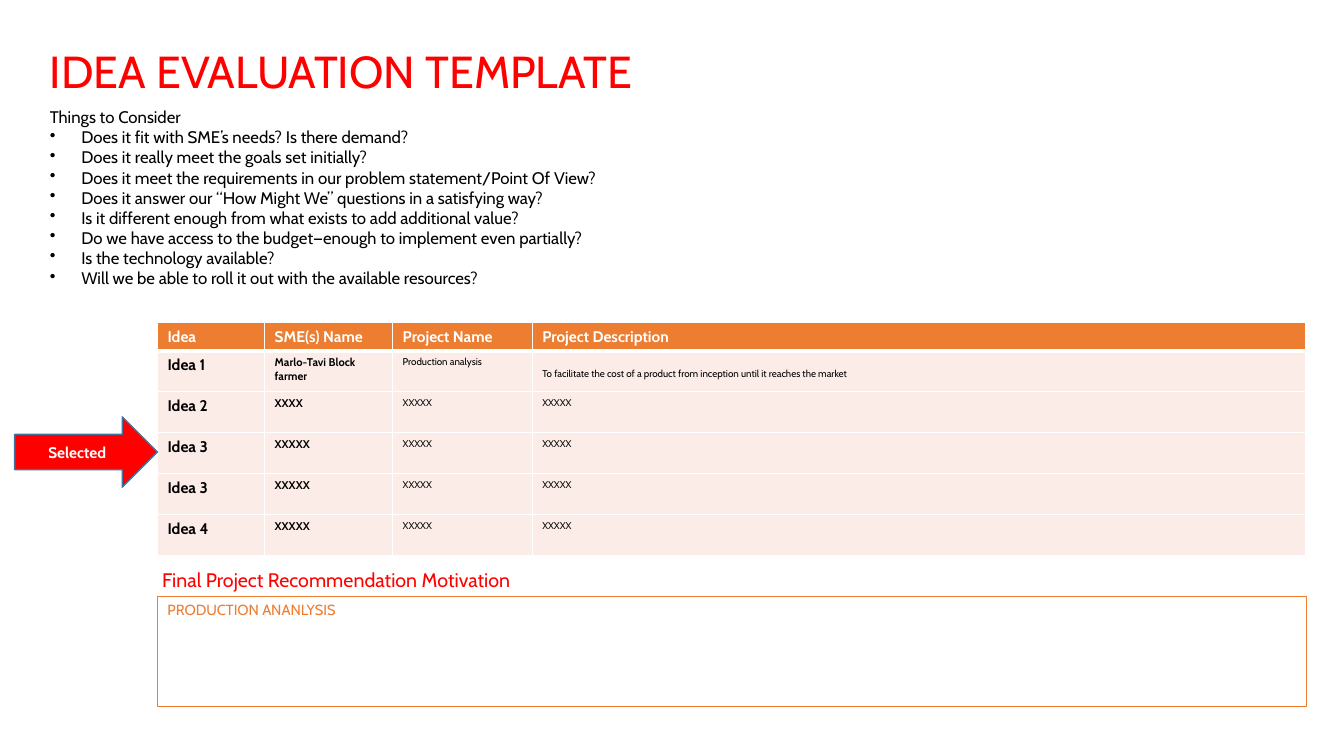
import dataclasses

import lxml.etree
import pptx
import pptx.dml.color
import pptx.enum.shapes
import pptx.enum.text
import pptx.oxml.ns
import pptx.util

EMU_PER_PX = 9525
ANCHOR = pptx.enum.text.MSO_ANCHOR
ALIGN = pptx.enum.text.PP_ALIGN
SHAPE = pptx.enum.shapes.MSO_SHAPE


@dataclasses.dataclass(frozen=True)
class Theme:
    font: str = "Cabin"
    red: str = "FF0000"
    orange: str = "ED7D31"
    blush: str = "FCECE8"
    blue: str = "43739E"
    black: str = "000000"
    white: str = "FFFFFF"
    title: float = 32
    heading: float = 14
    body: float = 12
    label: float = 11
    motivation: float = 10.5
    owner: float = 8
    detail: float = 7


THEME = Theme()

QUESTIONS = [
    "Does it fit with SME’s needs? Is there demand?",
    "Does it really meet the goals set initially?",
    "Does it meet the requirements in our problem statement/Point Of View?",
    "Does it answer our “How Might We” questions in a satisfying way?",
    "Is it different enough from what exists to add additional value?",
    "Do we have access to the budget—enough to implement even partially?",
    "Is the technology available?",
    "Will we be able to roll it out with the available resources?",
]
COLUMNS = {"Idea": 102, "SME(s) Name": 122, "Project Name": 133, "Project Description": 737}
IDEAS = [
    ("Idea 1", "Marlo-Tavi Block farmer", "Production analysis",
     "To facilitate the cost of a product from inception until it reaches the market"),
    ("Idea 2", "XXXX", "XXXXX", "XXXXX"),
    ("Idea 3", "XXXXX", "XXXXX", "XXXXX"),
    ("Idea 3", "XXXXX", "XXXXX", "XXXXX"),
    ("Idea 4", "XXXXX", "XXXXX", "XXXXX"),
]
HEADER_HEIGHT, IDEA_HEIGHT = 27, 39


def px(length):
    return pptx.util.Emu(length * EMU_PER_PX)


def rgb(code):
    return pptx.dml.color.RGBColor.from_string(code)


def add_bullet(para, indent=30):
    properties = para._p.get_or_add_pPr()
    properties.set("marL", str(px(indent)))
    properties.set("indent", str(-px(indent)))
    bullet = lxml.etree.SubElement(properties, pptx.oxml.ns.qn("a:buChar"))
    bullet.set("char", "•")


def write(para, text, *, size, color=THEME.black, bold=False, align=ALIGN.LEFT,
          spacing=None, bullet=False):
    if bullet:
        add_bullet(para)
    para.alignment = align
    if spacing:
        para.line_spacing = spacing
    span = para.add_run()
    span.text = text
    span.font.name = THEME.font
    span.font.size = pptx.util.Pt(size)
    span.font.bold = bold
    span.font.color.rgb = rgb(color)


def add_text_box(page, area, *, anchor=ANCHOR.TOP, wrap=True):
    """Add an empty text box and return its text frame."""
    frame = page.shapes.add_textbox(*map(px, area)).text_frame
    frame.word_wrap = wrap
    frame.vertical_anchor = anchor
    return frame


def add_block(page, kind, area, *, line, weight, fill=None, anchor=ANCHOR.TOP):
    """Add an outlined shape and return its text frame."""
    box = page.shapes.add_shape(kind, *map(px, area))
    box.shadow.inherit = False
    if fill:
        box.fill.solid()
        box.fill.fore_color.rgb = rgb(fill)
    else:
        box.fill.background()
    box.line.color.rgb = rgb(line)
    box.line.width = pptx.util.Pt(weight)
    box.text_frame.word_wrap = True
    box.text_frame.vertical_anchor = anchor
    return box.text_frame


def style_cell(cell, fill, *, top=1, bottom=1):
    """Give the cell white borders, in points, and a plain fill."""
    properties = cell._tc.get_or_add_tcPr()
    for side, weight in (("L", 1), ("R", 1), ("T", top), ("B", bottom)):
        border = lxml.etree.SubElement(properties, pptx.oxml.ns.qn(f"a:ln{side}"))
        border.set("w", str(pptx.util.Pt(weight)))
        paint = lxml.etree.SubElement(border, pptx.oxml.ns.qn("a:solidFill"))
        color = lxml.etree.SubElement(paint, pptx.oxml.ns.qn("a:srgbClr"))
        color.set("val", THEME.white)
    cell.fill.solid()
    cell.fill.fore_color.rgb = rgb(fill)


def add_idea_table(page, left, top):
    height = HEADER_HEIGHT + IDEA_HEIGHT * len(IDEAS)
    area = (left, top, sum(COLUMNS.values()), height)
    table = page.shapes.add_table(len(IDEAS) + 1, len(COLUMNS), *map(px, area)).table
    table.horz_banding = False
    for column, width in zip(table.columns, COLUMNS.values()):
        column.width = px(width)

    table.rows[0].height = px(HEADER_HEIGHT)
    for cell, name in zip(table.rows[0].cells, COLUMNS):
        style_cell(cell, THEME.orange, bottom=3)
        write(cell.text_frame.paragraphs[0], name,
              size=THEME.label, color=THEME.white, bold=True)

    sizes = (THEME.label, THEME.owner, THEME.detail, THEME.detail)
    for number, idea in enumerate(IDEAS, start=1):
        row = table.rows[number]
        row.height = px(IDEA_HEIGHT)
        for cell, text, size in zip(row.cells, idea, sizes):
            style_cell(cell, THEME.blush, top=3 if number == 1 else 1)
            write(cell.text_frame.paragraphs[0], text,
                  size=size, bold=size > THEME.detail)
    table.cell(1, 3).margin_top = px(16)


def add_considerations(page, area):
    frame = add_text_box(page, area)
    write(frame.paragraphs[0], "Things to Consider", size=THEME.body)
    for question in QUESTIONS:
        write(frame.add_paragraph(), question, size=THEME.body, bullet=True)


def main():
    deck = pptx.Presentation()
    deck.slide_width, deck.slide_height = px(1280), px(720)
    page = deck.slides.add_slide(deck.slide_layouts[6])

    title = add_text_box(page, (38, 38, 1206, 65), anchor=ANCHOR.MIDDLE)
    write(title.paragraphs[0], "IDEA EVALUATION TEMPLATE",
          size=THEME.title, color=THEME.red, spacing=0.9)
    add_considerations(page, (38, 97, 640, 184))
    add_idea_table(page, 150, 307)

    selected = add_block(page, SHAPE.RIGHT_ARROW, (14, 397, 136, 67), line=THEME.blue,
                         weight=1, fill=THEME.red, anchor=ANCHOR.MIDDLE)
    write(selected.paragraphs[0], "Selected", size=THEME.label,
          color=THEME.white, bold=True, align=ALIGN.CENTER)

    heading = add_text_box(page, (145, 536, 384, 33), wrap=False)
    write(heading.paragraphs[0], "Final Project Recommendation Motivation",
          size=THEME.heading, color=THEME.red)
    motivation = add_block(page, SHAPE.RECTANGLE, (150, 568, 1094, 105),
                           line=THEME.orange, weight=0.75)
    write(motivation.paragraphs[0], "PRODUCTION ANANLYSIS",
          size=THEME.motivation, color=THEME.orange)

    deck.save("out.pptx")


if __name__ == "__main__":
    main()
